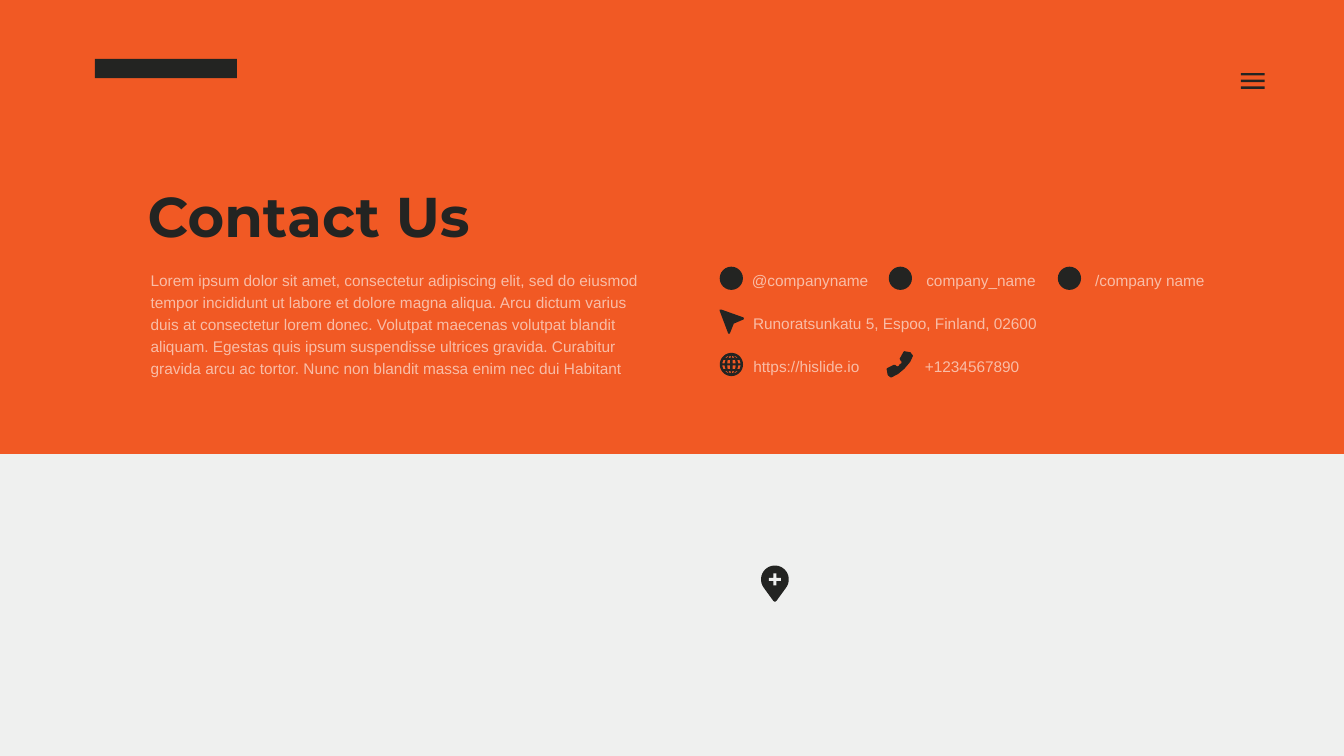
from dataclasses import dataclass
from itertools import product
from math import cos, radians, sin, sqrt

from lxml.etree import SubElement
from pptx import Presentation
from pptx.dml.color import RGBColor
from pptx.enum.shapes import MSO_SHAPE
from pptx.enum.text import MSO_ANCHOR, MSO_AUTO_SIZE, PP_ALIGN
from pptx.oxml.ns import qn
from pptx.shapes.autoshape import Shape
from pptx.slide import Slide
from pptx.util import Cm, Pt

ORANGE = RGBColor(0xF1, 0x59, 0x24)
DARK = RGBColor(0x23, 0x24, 0x22)
PEACH = RGBColor(0xF9, 0xBD, 0xA7)
PALE = RGBColor(0xEF, 0xF0, 0xEF)

ICON_LEFT, ICON_TOP, ICON_SIZE = 36.27, 13.44, 1.17
ICON_PITCH = 8.52

INTRO = (
    "Lorem ipsum dolor sit amet, consectetur adipiscing elit, sed do eiusmod "
    "tempor incididunt ut labore et dolore magna aliqua. Arcu dictum varius "
    "duis at consectetur lorem donec. Volutpat maecenas volutpat blandit "
    "aliquam. Egestas quis ipsum suspendisse ultrices gravida. Curabitur "
    "gravida arcu ac tortor. Nunc non blandit massa enim nec dui Habitant"
)

Point = tuple[float, float]
Contour = list[Point]

LOCATION_ARROW: Contour = [
    (36.27, 15.6), (36.35, 15.6), (37.47, 16), (37.49, 16.08), (37.47, 16.1),
    (36.98, 16.31), (36.8, 16.76), (36.78, 16.81), (36.7, 16.81),
    (36.68, 16.76), (36.27, 15.67),
]
HANDSET: Contour = [
    (44.93, 19.02), (44.88, 19.02), (44.75, 18.92), (44.73, 18.87),
    (44.68, 18.59), (44.73, 18.54), (45.03, 18.39), (45.11, 18.39),
    (45.21, 18.47), (45.29, 18.44), (45.34, 18.36), (45.42, 18.31),
    (45.44, 18.24), (45.36, 18.14), (45.34, 18.08), (45.52, 17.75),
    (45.57, 17.7), (45.87, 17.75), (45.9, 17.78), (46, 17.91), (46, 17.96),
    (45.87, 18.24), (45.57, 18.59), (45.26, 18.85),
]


@dataclass(frozen=True)
class Contact:
    text: str
    left: float
    top: float
    width: float = 6.55


CONTACTS = [
    Contact("@companyname", 37.74, 13.34),
    Contact("company_name", 46.53, 13.34),
    Contact("/company name", 55.04, 13.34),
    Contact("Runoratsunkatu 5, Espoo, Finland, 02600", 37.8, 15.49, 17.65),
    Contact("https://hislide.io", 37.82, 17.68),
    Contact("+1234567890", 46.46, 17.68),
]


def paint(shape: Shape, color: RGBColor) -> Shape:
    """Give the shape a flat fill without line or shadow."""
    shape.shadow.inherit = False
    shape.fill.solid()
    shape.fill.fore_color.rgb = color
    shape.line.fill.background()
    return shape


def add_preset(page: Slide, kind: MSO_SHAPE, left: float, top: float,
               width: float, height: float, color: RGBColor) -> Shape:
    shape = page.shapes.add_shape(kind, Cm(left), Cm(top), Cm(width), Cm(height))
    return paint(shape, color)


def add_outline(page: Slide, contours: list[Contour], color: RGBColor) -> Shape:
    """Draw one shape; a contour inside another becomes a hole."""
    scaled = [[(Cm(x), Cm(y)) for x, y in contour] for contour in contours]
    builder = page.shapes.build_freeform(*scaled[0][0])
    for index, corners in enumerate(scaled):
        if index:
            builder.move_to(*corners[0])
        builder.add_line_segments(corners[1:], close=True)
    return paint(builder.convert_to_shape(), color)


def arc(x: float, y: float, radius: float, start: int, end: int) -> Contour:
    return [(x + radius * cos(radians(angle)), y + radius * sin(radians(angle)))
            for angle in range(start, end, 10)]


def write(box: Shape, text: str, font: str, size: float, color: RGBColor,
          spacing: float = 1.0, bold: bool = False) -> None:
    frame = box.text_frame
    frame.word_wrap = True
    frame.auto_size = MSO_AUTO_SIZE.NONE
    frame.vertical_anchor = MSO_ANCHOR.TOP
    frame.margin_left = frame.margin_right = Cm(0.15)
    frame.margin_top = frame.margin_bottom = Cm(0.15)
    frame.text = text
    para = frame.paragraphs[0]
    para.alignment = PP_ALIGN.LEFT
    para.line_spacing = spacing
    para.space_before = Pt(0)
    span = para.runs[0]
    span.font.name = font
    span.font.size = Pt(size)
    span.font.bold = bold
    span.font.color.rgb = color


def remove_bullet(box: Shape) -> None:
    properties = box.text_frame.paragraphs[0]._p.get_or_add_pPr()
    properties.set("marL", "0")
    properties.set("indent", "0")
    SubElement(properties, qn("a:buNone"))


def place(box: Shape, left: float, top: float, width: float, height: float) -> None:
    box.left, box.top, box.width, box.height = Cm(left), Cm(top), Cm(width), Cm(height)


def add_contact(page: Slide, contact: Contact) -> None:
    box = page.shapes.add_textbox(
        Cm(contact.left), Cm(contact.top), Cm(contact.width), Cm(1.32))
    write(box, contact.text, "Arial", 22, PEACH, spacing=1.2)


def add_globe(page: Slide, x: float, y: float) -> None:
    """Draw a globe centred on x, y, with its grid cells cut out."""
    radius = 0.47
    bands = [(0.05, 0.23), (0.33, 0.43)]
    sectors = [(0.14, 0.46), (0.73, 1)]
    contours = [arc(x, y, ICON_SIZE / 2, 0, 360)]
    for (near, far), (inner, outer), side, half in product(
            bands, sectors, (-1, 1), (-1, 1)):
        near_reach, far_reach = (sqrt(radius ** 2 - h ** 2) for h in (near, far))
        contours.append([
            (x + side * inner * near_reach, y + half * near),
            (x + side * outer * near_reach, y + half * near),
            (x + side * outer * far_reach, y + half * far),
            (x + side * inner * far_reach, y + half * far),
        ])
    add_outline(page, contours, DARK)


def add_menu(page: Slide) -> None:
    left, right, thickness = 62.53, 63.73, 0.12
    tops = [3.68 + row * 0.34 for row in range(3)]
    add_outline(page, [[(left, top), (right, top), (right, top + thickness),
                        (left, top + thickness)] for top in tops], DARK)


def add_map_pin(page: Slide, x: float, y: float) -> None:
    """Draw a map pin whose round head is centred on x, y."""
    tip = [(x + 0.08, y + 1.08), (x, y + 1.13), (x - 0.08, y + 1.08)]
    add_outline(page, [arc(x, y, 0.7, 145, 396) + tip], DARK)
    plus = add_preset(page, MSO_SHAPE.CROSS, x - 0.3, y - 0.3, 0.6, 0.6, PALE)
    plus.adjustments[0] = 0.38


def main() -> None:
    deck = Presentation()
    deck.slide_width, deck.slide_height = Cm(67.73), Cm(38.1)
    page = deck.slides.add_slide(deck.slide_layouts[1])
    page.background.fill.solid()
    page.background.fill.fore_color.rgb = PALE

    title, body = page.placeholders
    band = add_preset(page, MSO_SHAPE.RECTANGLE, 0, 0, 67.73, 22.88, ORANGE)
    title.element.addprevious(band.element)

    place(title, 7.29, 9.02, 21.03, 3.71)
    write(title, "Contact Us", "Montserrat", 80, DARK, bold=True)
    place(body, 7.44, 13.31, 25.3, 5.82)
    write(body, INTRO, "Arial", 22, PEACH, spacing=1.2)
    remove_bullet(body)

    add_preset(page, MSO_SHAPE.RECTANGLE, 4.78, 2.97, 7.16, 0.97, DARK)
    add_menu(page)
    for column in range(3):
        add_preset(page, MSO_SHAPE.OVAL, ICON_LEFT + column * ICON_PITCH, ICON_TOP,
                   ICON_SIZE, ICON_SIZE, DARK)
    add_outline(page, [LOCATION_ARROW], DARK)
    add_globe(page, 36.86, 18.37)
    add_outline(page, [HANDSET], DARK)
    for contact in CONTACTS:
        add_contact(page, contact)
    add_map_pin(page, 39.05, 29.2)

    deck.save("out.pptx")


if __name__ == "__main__":
    main()
